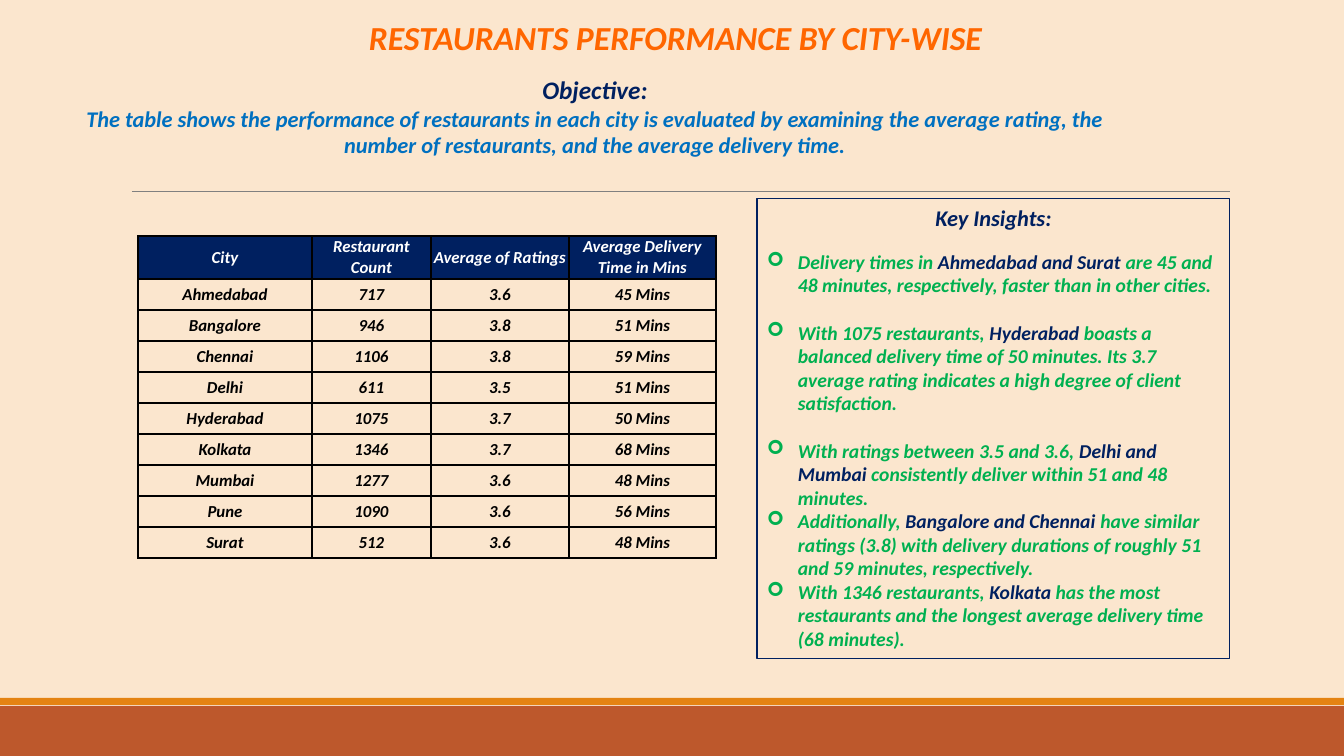
from lxml import etree
from pptx import Presentation
from pptx.dml.color import RGBColor
from pptx.enum.shapes import MSO_CONNECTOR, MSO_SHAPE
from pptx.enum.text import MSO_ANCHOR, PP_ALIGN
from pptx.oxml.ns import qn
from pptx.util import Emu, Pt

CREAM, NAVY, GREEN, BLUE = "FBE6CE", "002060", "00B050", "0070C0"
ORANGE, BLACK, WHITE, GRAY = "FF6600", "000000", "FFFFFF", "808080"

TITLE = "RESTAURANTS PERFORMANCE BY CITY-WISE"
OBJECTIVE = (
    "The table shows the performance of restaurants in each city is evaluated by examining "
    "the average rating, the number of restaurants, and the average delivery time."
)
HEADER = ("City", "Restaurant Count", "Average of Ratings", "Average Delivery Time in Mins")
CITIES = [
    ("Ahmedabad", 717, 3.6, 45),
    ("Bangalore", 946, 3.8, 51),
    ("Chennai", 1106, 3.8, 59),
    ("Delhi", 611, 3.5, 51),
    ("Hyderabad", 1075, 3.7, 50),
    ("Kolkata", 1346, 3.7, 68),
    ("Mumbai", 1277, 3.6, 48),
    ("Pune", 1090, 3.6, 56),
    ("Surat", 512, 3.6, 48),
]
INSIGHTS = [
    (13.5, "Delivery times in ", "Ahmedabad and Surat ",
     "are 45 and 48 minutes, respectively, faster than in other cities."),
    (17, "With 1075 restaurants, ", "Hyderabad",
     " boasts a balanced delivery time of 50 minutes. Its 3.7 average rating indicates "
     "a high degree of client satisfaction."),
    (17, "With ratings between 3.5 and 3.6, ", "Delhi and Mumbai",
     " consistently deliver within 51 and 48 minutes."),
    (0, "Additionally, ", "Bangalore and Chennai",
     " have similar ratings (3.8) with delivery durations of roughly 51 and 59 minutes, "
     "respectively."),
    (0, "With 1346 restaurants, ", "Kolkata",
     " has the most restaurants and the longest average delivery time (68 minutes)."),
]
COLUMN_WIDTHS = (174, 119, 138, 147)
HEADER_HEIGHT, ROW_HEIGHT = 43, 31
BULLET_INDENT = 31


def px(length):
    return Emu(round(length * 914400 / 100.8))


def color(code):
    return RGBColor.from_string(code)


def paint(fill, code):
    fill.solid()
    fill.fore_color.rgb = color(code)


def add_rectangle(left, top, width, height, fill, line=None):
    box = page.shapes.add_shape(
        MSO_SHAPE.RECTANGLE, px(left), px(top), px(width), px(height))
    box.shadow.inherit = False
    paint(box.fill, fill)
    if line:
        box.line.color.rgb = color(line)
        box.line.width = Pt(0.75)
    else:
        box.line.fill.background()
    return box


def add_span(para, text, size, code):
    span = para.add_run()
    span.text = text
    span.font.name = "Calibri"
    span.font.size = Pt(size)
    span.font.bold = span.font.italic = True
    span.font.color.rgb = color(code)


def add_centered(para, text, size, code):
    para.alignment = PP_ALIGN.CENTER
    add_span(para, text, size, code)


def add_bullet(para):
    properties = para._p.get_or_add_pPr()
    properties.set("marL", str(px(BULLET_INDENT)))
    properties.set("indent", str(-px(BULLET_INDENT)))
    etree.SubElement(properties, qn("a:buFont")).set("typeface", "Wingdings")
    etree.SubElement(properties, qn("a:buChar")).set("char", "➢")


def add_borders(cell):
    properties = cell._tc.get_or_add_tcPr()
    for side in ("lnL", "lnR", "lnT", "lnB"):
        border = etree.SubElement(properties, qn("a:" + side), w=str(Pt(1)))
        fill = etree.SubElement(border, qn("a:solidFill"))
        etree.SubElement(fill, qn("a:srgbClr"), val=BLACK)


deck = Presentation()
deck.slide_width, deck.slide_height = px(1344), px(756)
page = deck.slides.add_slide(deck.slide_layouts[6])
paint(page.background.fill, CREAM)

add_rectangle(0, 706, 1344, 50, "BD582C")
add_rectangle(0, 698, 1344, 7, "E48312")
divider = page.shapes.add_connector(
    MSO_CONNECTOR.STRAIGHT, px(132), px(191), px(1230), px(191))
divider.line.color.rgb = color(GRAY)
divider.line.width = Pt(0.5)
etree.SubElement(divider._element.spPr, qn("a:effectLst"))

title = page.shapes.add_textbox(px(121), px(12), px(1109), px(57)).text_frame
title.word_wrap = True
title.vertical_anchor = MSO_ANCHOR.MIDDLE
title.paragraphs[0].line_spacing = 0.85
title.paragraphs[0].space_after = Pt(6)
add_centered(title.paragraphs[0], TITLE, 24, ORANGE)

objective = add_rectangle(72, 69, 1046, 95, CREAM).text_frame
objective.word_wrap = True
objective.vertical_anchor = MSO_ANCHOR.MIDDLE
add_centered(objective.paragraphs[0], "Objective:", 18, NAVY)
add_centered(objective.add_paragraph(), OBJECTIVE, 16, BLUE)

rows = [HEADER] + [
    (city, str(count), str(rating), f"{minutes} Mins")
    for city, count, rating, minutes in CITIES
]
table = page.shapes.add_table(
    len(rows), len(HEADER), px(138), px(236), px(sum(COLUMN_WIDTHS)),
    px(HEADER_HEIGHT + ROW_HEIGHT * len(CITIES))).table
table.horz_banding = False
for column, width in zip(table.columns, COLUMN_WIDTHS):
    column.width = px(width)
for row_index, values in enumerate(rows):
    is_header = row_index == 0
    table.rows[row_index].height = px(HEADER_HEIGHT if is_header else ROW_HEIGHT)
    for column_index, value in enumerate(values):
        cell = table.cell(row_index, column_index)
        cell.margin_left = cell.margin_right = cell.margin_top = cell.margin_bottom = 0
        cell.vertical_anchor = MSO_ANCHOR.MIDDLE
        add_borders(cell)
        paint(cell.fill, NAVY if is_header else CREAM)
        add_centered(cell.text_frame.paragraphs[0], value, 12, WHITE if is_header else BLACK)

insights = add_rectangle(757, 199, 473, 460, CREAM, NAVY).text_frame
insights.word_wrap = True
insights.vertical_anchor = MSO_ANCHOR.TOP
add_centered(insights.paragraphs[0], "Key Insights:", 16, NAVY)
for gap, opening, cities, ending in INSIGHTS:
    para = insights.add_paragraph()
    add_bullet(para)
    para.alignment = PP_ALIGN.LEFT
    para.space_before = Pt(gap)
    for text, code in ((opening, GREEN), (cities, NAVY), (ending, GREEN)):
        add_span(para, text, 14, code)

deck.save("out.pptx")
